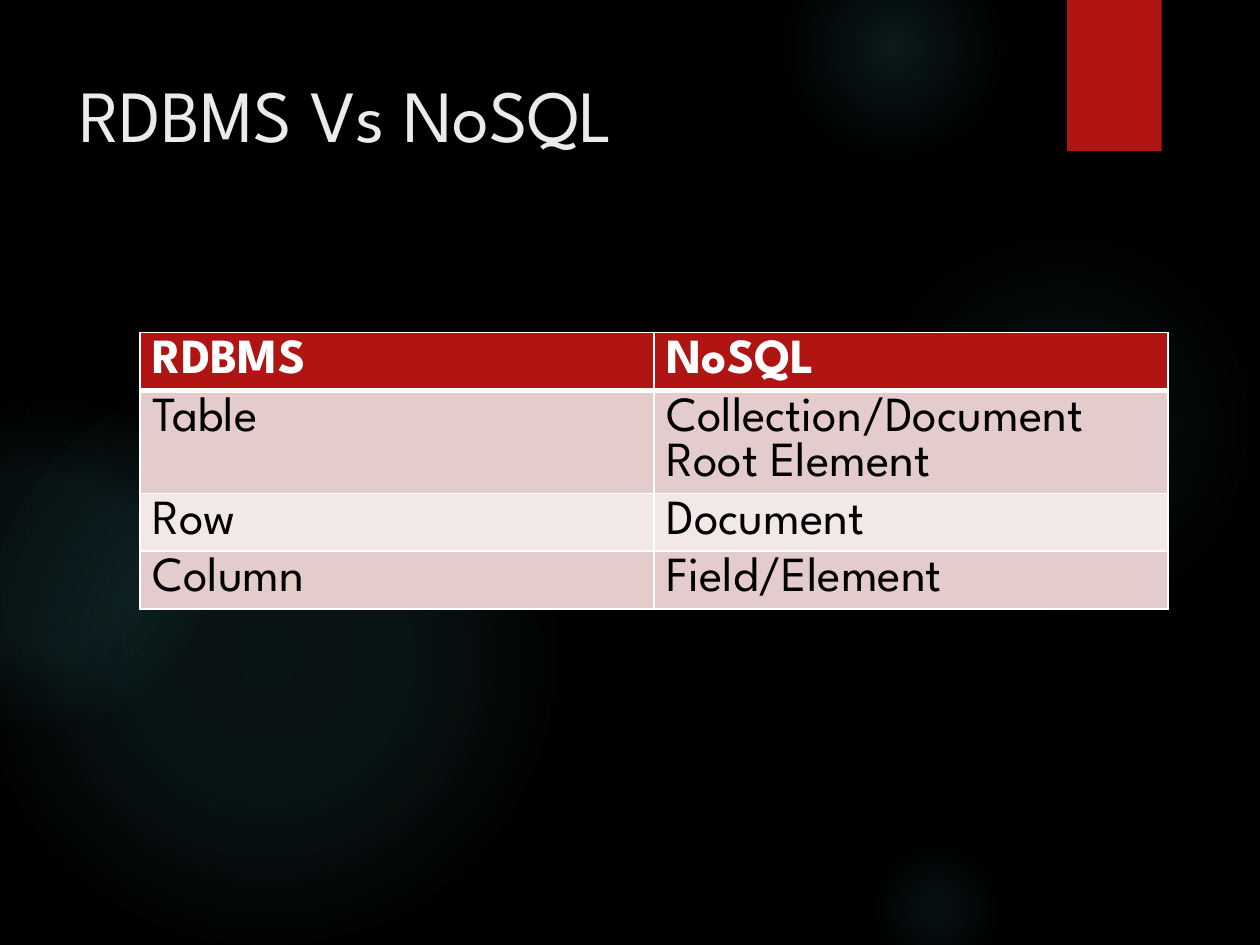
import lxml.etree
import pptx
import pptx.dml.color
import pptx.enum.shapes
import pptx.enum.text
import pptx.oxml.ns
import pptx.util

COLUMNS, ROWS = 10, 7.5
UNIT = pptx.util.Inches(1)
FONT = "League Spartan"
COLORS = {
    "background": "000000", "glow": "50B9C1", "accent": "B01513",
    "title": "EBEBEB", "white": "FFFFFF", "body": "000000",
    "odd_row": "E4CCCC", "even_row": "F2E8E7",
}
GLOWS = [
    ((6.89, 1.83, 3.08, 3.08), ((0, 7), (36, 6), (69, 0))),
    ((6.22, -0.5, 1.75, 1.75), ((0, 14), (36, 7), (73, 0))),
    ((6.89, 6.67, 1.08, 1.08), ((0, 9), (36, 5), (66, 0))),
    ((-0.17, 2.92, 4.58, 4.58), ((0, 11), (36, 10), (75, 0))),
    ((-0.92, 3.17, 2.58, 2.58), ((0, 8), (36, 8), (72, 0))),
]
COMPARISON = [
    ("RDBMS", "NoSQL"),
    ("Table", "Collection/Document Root Element"),
    ("Row", "Document"),
    ("Column", "Field/Element"),
]


def color(name):
    """Return the named colour as an RGB value."""
    return pptx.dml.color.RGBColor.from_string(COLORS[name])


def place(box):
    """Turn grid columns and rows into slide lengths."""
    return [round(length * UNIT) for length in box]


def add_element(parent, tag, **attributes):
    """Append a drawing element with the given attributes."""
    element = lxml.etree.SubElement(parent, pptx.oxml.ns.qn(tag))
    for name, value in attributes.items():
        element.set(name, str(value))
    return element


def add_run(paragraph, text, size, color_name, bold=False):
    """Add one formatted run to a paragraph."""
    run = paragraph.add_run()
    run.text = text
    run.font.name = FONT
    run.font.size = pptx.util.Pt(size)
    run.font.bold = bold
    run.font.color.rgb = color(color_name)


def add_plain_shape(slide, kind, box, fill_name):
    """Add a filled shape without outline or shadow."""
    shape = slide.shapes.add_shape(kind, *place(box))
    shape.shadow.inherit = False
    shape.fill.solid()
    shape.fill.fore_color.rgb = color(fill_name)
    shape.line.fill.background()
    return shape


def add_glow(slide, box, stops):
    """Add a round glow that fades out from its centre."""
    shape = add_plain_shape(slide, pptx.enum.shapes.MSO_SHAPE.OVAL, box, "glow")
    properties = shape.element.spPr
    gradient = add_element(properties, "a:gradFill", rotWithShape=1)
    stop_list = add_element(gradient, "a:gsLst")
    for position, opacity in stops:
        stop = add_element(stop_list, "a:gs", pos=position * 1000)
        tint = add_element(stop, "a:srgbClr", val=COLORS["glow"])
        add_element(tint, "a:alpha", val=opacity * 1000)
    path = add_element(gradient, "a:path", path="circle")
    add_element(path, "a:fillToRect", l=50000, t=50000, r=50000, b=50000)
    properties.replace(properties.find(pptx.oxml.ns.qn("a:solidFill")), gradient)


def add_backdrop(slide):
    """Paint the background, its glows and the corner tab."""
    slide.background.fill.solid()
    slide.background.fill.fore_color.rgb = color("background")
    for box, stops in GLOWS:
        add_glow(slide, box, stops)
    rectangle = pptx.enum.shapes.MSO_SHAPE.RECTANGLE
    add_plain_shape(slide, rectangle, (8.47, 0, 0.75, 1.2), "accent")


def add_title(slide, box, text):
    """Add the slide title."""
    frame = slide.shapes.add_textbox(*place(box)).text_frame
    frame.word_wrap = True
    frame.vertical_anchor = pptx.enum.text.MSO_ANCHOR.TOP
    add_run(frame.paragraphs[0], text, 42, "title")


def add_borders(cell, top_width, bottom_width):
    """Draw white lines around a cell, before its fill is set."""
    properties = cell._tc.get_or_add_tcPr()
    widths = {"a:lnL": 1, "a:lnR": 1, "a:lnT": top_width, "a:lnB": bottom_width}
    for tag, width in widths.items():
        line = add_element(properties, tag, w=pptx.util.Pt(width))
        fill = add_element(line, "a:solidFill")
        add_element(fill, "a:srgbClr", val=COLORS["white"])


def add_comparison(slide, box, rows):
    """Add the comparison table with a header and banded rows."""
    table = slide.shapes.add_table(len(rows), len(rows[0]), *place(box)).table
    for row_index, texts in enumerate(rows):
        header = row_index == 0
        band = "odd_row" if row_index % 2 else "even_row"
        for column_index, text in enumerate(texts):
            cell = table.cell(row_index, column_index)
            add_borders(cell, 3 if row_index == 1 else 1, 3 if header else 1)
            cell.fill.solid()
            cell.fill.fore_color.rgb = color("accent" if header else band)
            paragraph = cell.text_frame.paragraphs[0]
            paragraph.line_spacing = pptx.util.Pt(25.8)
            add_run(paragraph, text, 28, "white" if header else "body", header)


def main():
    """Build and save the slide."""
    presentation = pptx.Presentation()
    presentation.slide_width = round(COLUMNS * UNIT)
    presentation.slide_height = round(ROWS * UNIT)
    slide = presentation.slides.add_slide(presentation.slide_layouts[6])
    add_backdrop(slide)
    add_title(slide, (0.53, 0.5, 7.72, 1.53), "RDBMS Vs NoSQL")
    add_comparison(slide, (1.11, 2.64, 8.16, 1.64), COMPARISON)
    presentation.save("out.pptx")


if __name__ == "__main__":
    main()
